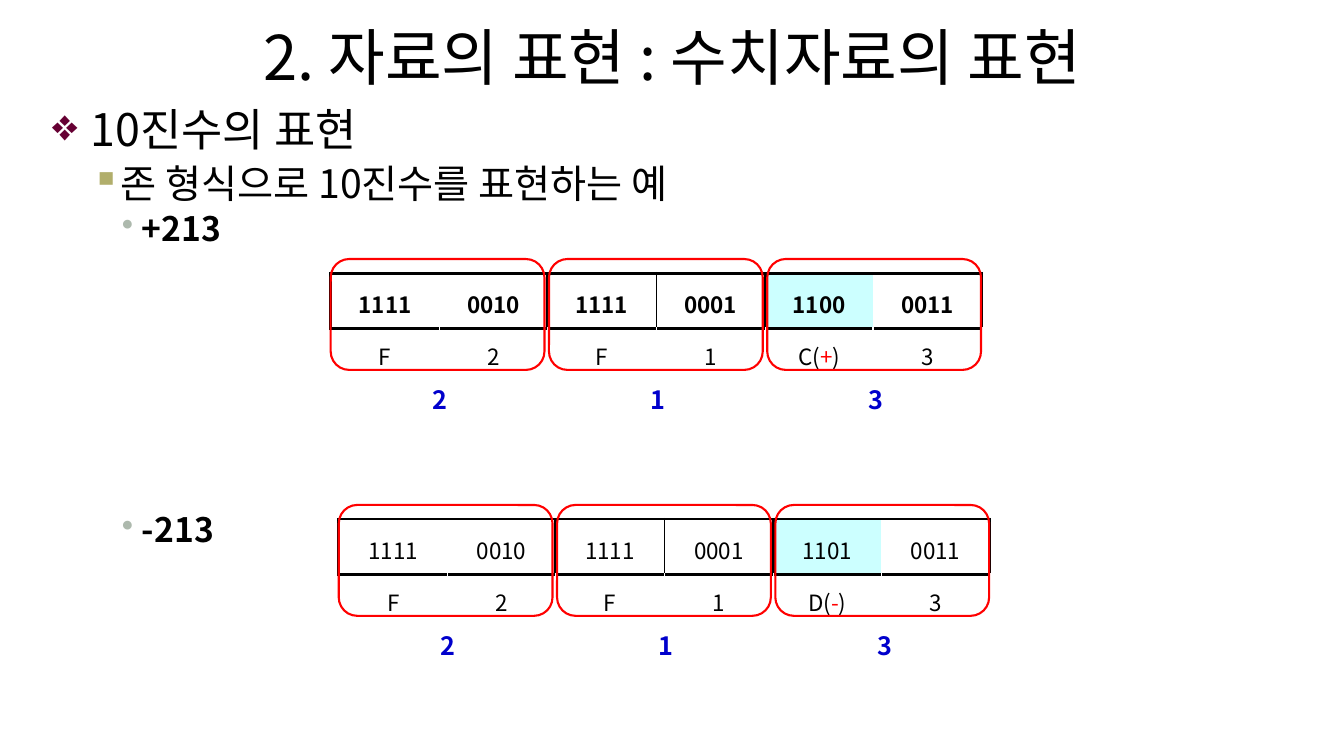
from pptx import Presentation, util as u
from pptx.dml.color import RGBColor
from pptx.enum import shapes, text
from pptx.oxml.ns import qn
from lxml import etree

BLACK = RGBColor(0, 0, 0)
RED = RGBColor(255, 0, 0)
BLUE = RGBColor(0, 0, 0xCC)
CYAN = RGBColor(0xCC, 255, 255)
WHITE = RGBColor(255, 255, 255)
PLUM = RGBColor(0x66, 0, 0x33)
OLIVE = RGBColor(0xB1, 0xAE, 0x6B)
SAGE = RGBColor(0xAD, 0xB9, 0xAD)
FONT = "Noto Sans CJK KR"

TITLE = "2. 자료의 표현 : 수치자료의 표현"
LINES = [
    ("10진수의 표현", 32, False, 0, 0.38, 0.38, 0, "❖", PLUM),
    ("존 형식으로 10진수를 표현하는 예", 28, False, 1, 0.59, 0.2, 6, "▪", OLIVE),
    ("+213", 24, True, 2, 0.89, 0.2, 4, "•", SAGE),
    ("-213", 24, True, 2, 0.89, 0.2, 188.7, "•", SAGE),
]
ZONES = [
    (3.28, 2.71, True, ["1111", "0010", "1111", "0001", "1100", "0011"],
     ["F", "2", "F", "1", ("C(", "+", ")"), "3"]),
    (3.36, 5.15, False, ["1111", "0010", "1111", "0001", "1101", "0011"],
     ["F", "2", "F", "1", ("D(", "-", ")"), "3"]),
]
DIGITS = ["2", "1", "3"]
COLS = [1.08, 1.07, 1.08] * 2
ROWS = [0.55, 0.42]
EDGES = [2.25, 0, 2.25, 0.25, 2.25, 0, 2.25]
STEP = 2.165

deck = Presentation()
deck.slide_width, deck.slide_height = u.Inches(13.33), u.Inches(7.5)
slide = deck.slides.add_slide(deck.slide_layouts[6])


def inches(*nums):
    return [u.Inches(n) for n in nums]


def add_run(para, words, size, color=BLACK, bold=False):
    run = para.add_run()
    run.text = words
    font = run.font
    font.name, font.size, font.bold = FONT, u.Pt(size), bold
    font.color.rgb = color
    east = etree.SubElement(run._r.get_or_add_rPr(), qn("a:ea"))
    east.set("typeface", FONT)


def add_box(x, y, w, h, wrap=True):
    frame = slide.shapes.add_textbox(*inches(x, y, w, h)).text_frame
    frame.word_wrap = wrap
    return frame


def add_mark(para, sign, color, left, hang):
    props = para._p.get_or_add_pPr()
    props.set("marL", str(u.Inches(left)))
    props.set("indent", str(-u.Inches(hang)))
    tint = etree.SubElement(props, qn("a:buClr"))
    etree.SubElement(tint, qn("a:srgbClr")).set("val", str(color))
    etree.SubElement(props, qn("a:buChar")).set("char", sign)


def set_edge(cell, side, color, width):
    line = etree.Element(qn("a:ln" + side), w=str(u.Pt(width)))
    if width:
        fill = etree.SubElement(line, qn("a:solidFill"))
        etree.SubElement(fill, qn("a:srgbClr")).set("val", str(color))
    else:
        etree.SubElement(line, qn("a:noFill"))
    props = cell._tc.get_or_add_tcPr()
    spot = sum(1 for kid in props if kid.tag.startswith(qn("a:ln")))
    props.insert(spot, line)


def fill_cell(cell, row, col, words, bold):
    cell.vertical_anchor = text.MSO_ANCHOR.MIDDLE
    if row == 0 and col == 4:
        cell.fill.solid()
        cell.fill.fore_color.rgb = CYAN
    else:
        cell.fill.background()
    para = cell.text_frame.paragraphs[0]
    para.alignment = text.PP_ALIGN.CENTER
    para.line_spacing = 1.2
    parts = words if isinstance(words, tuple) else (words,)
    for part in parts:
        add_run(para, part, 16, RED if part in "+-" else BLACK, bold)
    for side, edge in (("L", col), ("R", col + 1)):
        if row == 0:
            set_edge(cell, side, BLACK, EDGES[edge])
        else:
            set_edge(cell, side, WHITE, 1)
    set_edge(cell, "T", BLACK, 2.25)
    if row == 0:
        set_edge(cell, "B", BLACK, 2.25)


def add_zone(x, y, bold, bits, codes):
    table = slide.shapes.add_table(
        2, 6, *inches(x, y, sum(COLS), sum(ROWS))).table
    table.first_row = table.horz_banding = False
    for col, width in enumerate(COLS):
        table.columns[col].width = u.Inches(width)
    for row, words in enumerate((bits, codes)):
        table.rows[row].height = u.Inches(ROWS[row])
        for col, word in enumerate(words):
            fill_cell(table.cell(row, col), row, col, word, bold and row == 0)
    for num, digit in enumerate(DIGITS):
        left = x + num * STEP
        ring = slide.shapes.add_shape(
            shapes.MSO_SHAPE.ROUNDED_RECTANGLE,
            *inches(left, y - 0.14, 2.12, 1.1))
        ring.shadow.inherit = False
        ring.fill.background()
        ring.line.color.rgb = RED
        ring.line.width = u.Pt(1.5)
        label = add_box(left + 0.91, y + 1.05, 0.35, 0.4, False)
        add_run(label.paragraphs[0], digit, 18, BLUE, True)


body = add_box(0.42, 1.02, 12.24, 6.25)
for num, (words, size, bold, level, left, hang, gap, sign, color) in enumerate(LINES):
    para = body.add_paragraph() if num else body.paragraphs[0]
    add_mark(para, sign, color, left, hang)
    para.level = level
    para.line_spacing = 0.9
    if gap:
        para.space_before = u.Pt(gap)
    add_run(para, words, size, BLACK, bold)

head = add_box(0.67, 0.13, 12, 0.85)
head.vertical_anchor = text.MSO_ANCHOR.MIDDLE
head.paragraphs[0].alignment = text.PP_ALIGN.CENTER
add_run(head.paragraphs[0], TITLE, 44)

for zone in ZONES:
    add_zone(*zone)

deck.save("out.pptx")
